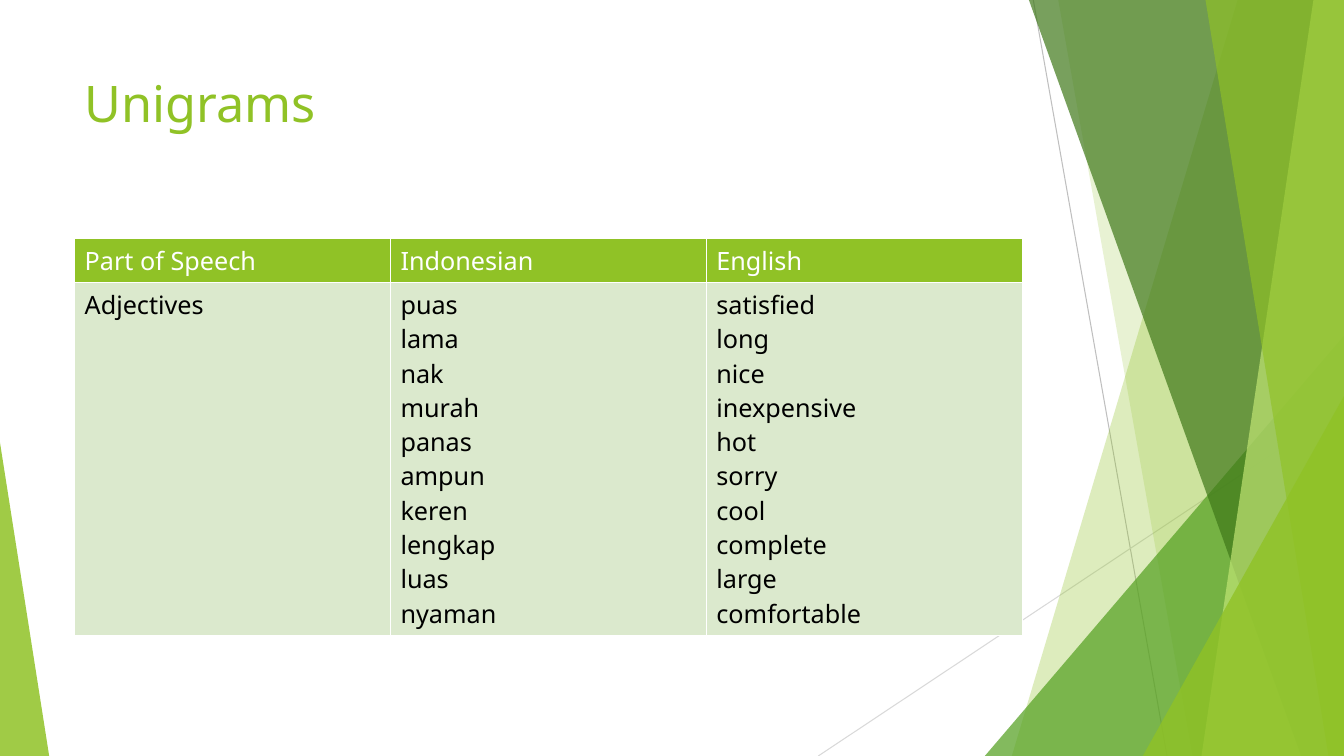
from lxml.etree import SubElement
from pptx import Presentation
from pptx.dml.color import RGBColor
from pptx.enum.shapes import MSO_CONNECTOR, MSO_SHAPE
from pptx.enum.text import MSO_ANCHOR, MSO_AUTO_SIZE, PP_ALIGN
from pptx.oxml import parse_xml
from pptx.oxml.ns import nsdecls, qn
from pptx.util import Cm, Pt

TITLE = "Unigrams"
HEADERS = ["Part of Speech", "Indonesian", "English"]
PART_OF_SPEECH = "Adjectives"
WORDS = [
    ("puas", "satisfied"),
    ("lama", "long"),
    ("nak", "nice"),
    ("murah", "inexpensive"),
    ("panas", "hot"),
    ("ampun", "sorry"),
    ("keren", "cool"),
    ("lengkap", "complete"),
    ("luas", "large"),
    ("nyaman", "comfortable"),
]
COLORS = {
    "lime": "90C226",
    "pale lime": "C0E474",
    "green": "54A021",
    "forest": "3F7819",
    "mint": "DBE9CD",
    "gray": "BFBFBF",
    "light gray": "D9D9D9",
    "white": "FFFFFF",
    "black": "000000",
}
FONT = "Noto Sans"
WIDTH, HEIGHT = 33.87, 19.05
LEFT, CONTENT_WIDTH = 1.88, 23.88

LINES = [
    ((26.04, 0), (29.41, HEIGHT), "gray"),
    ((WIDTH, 10.24), (20.62, HEIGHT), "light gray"),
]
# kind, geometry, color, opacity: bands give top and bottom x, triangles give left, top, width, apex
FACETS = [
    ("band", (31.19, 25.5), "lime", 30),
    ("band", (26.67, 30.05), "lime", 20),
    ("triangle", (24.82, 8.46, 9.05, 1), "green", 72),
    ("band", (25.93, 32.79), "forest", 70),
    ("band", (33.1, 30.28), "pale lime", 70),
    ("band", (30.38, 33.48), "lime", 65),
    ("triangle", (28.8, 9.98, 5.07, 1), "lime", 80),
    ("triangle", (0, 11.15, 1.24, 0), "lime", 85),
]


def color(name):
    return RGBColor.from_string(COLORS[name])


def style_font(paragraph, size, color_name):
    paragraph.font.name = FONT
    paragraph.font.size = Pt(size)
    paragraph.font.bold = False
    paragraph.font.color.rgb = color(color_name)


def add_line(slide, start, end, color_name):
    points = [Cm(value) for value in start + end]
    line = slide.shapes.add_connector(MSO_CONNECTOR.STRAIGHT, *points)
    line.line.color.rgb = color(color_name)
    line.line.width = Pt(0.75)
    SubElement(line._element.spPr, qn("a:effectLst"))


def add_band(slide, top_x, bottom_x):
    corners = [(top_x, 0), (WIDTH, 0), (WIDTH, HEIGHT), (bottom_x, HEIGHT)]
    points = [(Cm(x), Cm(y)) for x, y in corners]
    builder = slide.shapes.build_freeform(*points[0])
    builder.add_line_segments(points[1:], close=True)
    return builder.convert_to_shape()


def add_triangle(slide, left, top, width, apex):
    shape = slide.shapes.add_shape(
        MSO_SHAPE.ISOSCELES_TRIANGLE, Cm(left), Cm(top), Cm(width), Cm(HEIGHT - top)
    )
    shape.adjustments[0] = apex
    return shape


def add_facet(slide, kind, geometry, color_name, opacity):
    shape = {"band": add_band, "triangle": add_triangle}[kind](slide, *geometry)
    shape.shadow.inherit = False
    shape.line.fill.background()
    shape.fill.solid()
    shape.fill.fore_color.rgb = color(color_name)
    fill_color = shape._element.spPr.find(qn("a:solidFill"))[0]
    SubElement(fill_color, qn("a:alpha")).set("val", str(opacity * 1000))


def fill_cell(cell, lines, text_color, fill_color):
    cell.text = "\n".join(lines)
    for paragraph in cell.text_frame.paragraphs:
        style_font(paragraph, 18, text_color)
    cell.fill.solid()
    cell.fill.fore_color.rgb = color(fill_color)
    properties = cell._tc.get_or_add_tcPr()
    for index, side in enumerate("LRTB"):
        properties.insert(index, parse_xml(
            f'<a:ln{side} {nsdecls("a")} w="{Pt(1)}"><a:solidFill>'
            f'<a:srgbClr val="{COLORS["white"]}"/></a:solidFill></a:ln{side}>'
        ))


presentation = Presentation()
presentation.slide_width, presentation.slide_height = Cm(WIDTH), Cm(HEIGHT)
slide = presentation.slides.add_slide(presentation.slide_layouts[5])

for line in LINES:
    add_line(slide, *line)
for facet in FACETS:
    add_facet(slide, *facet)

title = slide.shapes.title
title.left, title.top = Cm(LEFT), Cm(1.7)
title.width, title.height = Cm(CONTENT_WIDTH), Cm(3.66)
title.text_frame.text = TITLE
title.text_frame.auto_size = MSO_AUTO_SIZE.NONE
title.text_frame.vertical_anchor = MSO_ANCHOR.TOP
heading = title.text_frame.paragraphs[0]
heading.alignment = PP_ALIGN.LEFT
style_font(heading, 36, "lime")

indonesian, english = zip(*WORDS)
rows = [
    (1.1, [[header] for header in HEADERS], "white", "lime"),
    (8.89, [[PART_OF_SPEECH], indonesian, english], "black", "mint"),
]
table = slide.shapes.add_table(
    len(rows), len(HEADERS), Cm(LEFT), Cm(6), Cm(CONTENT_WIDTH),
    Cm(sum(row[0] for row in rows)),
).table
for row_index, (height, cells, text_color, fill_color) in enumerate(rows):
    table.rows[row_index].height = Cm(height)
    for column_index, lines in enumerate(cells):
        fill_cell(table.cell(row_index, column_index), lines, text_color, fill_color)

presentation.save("out.pptx")
